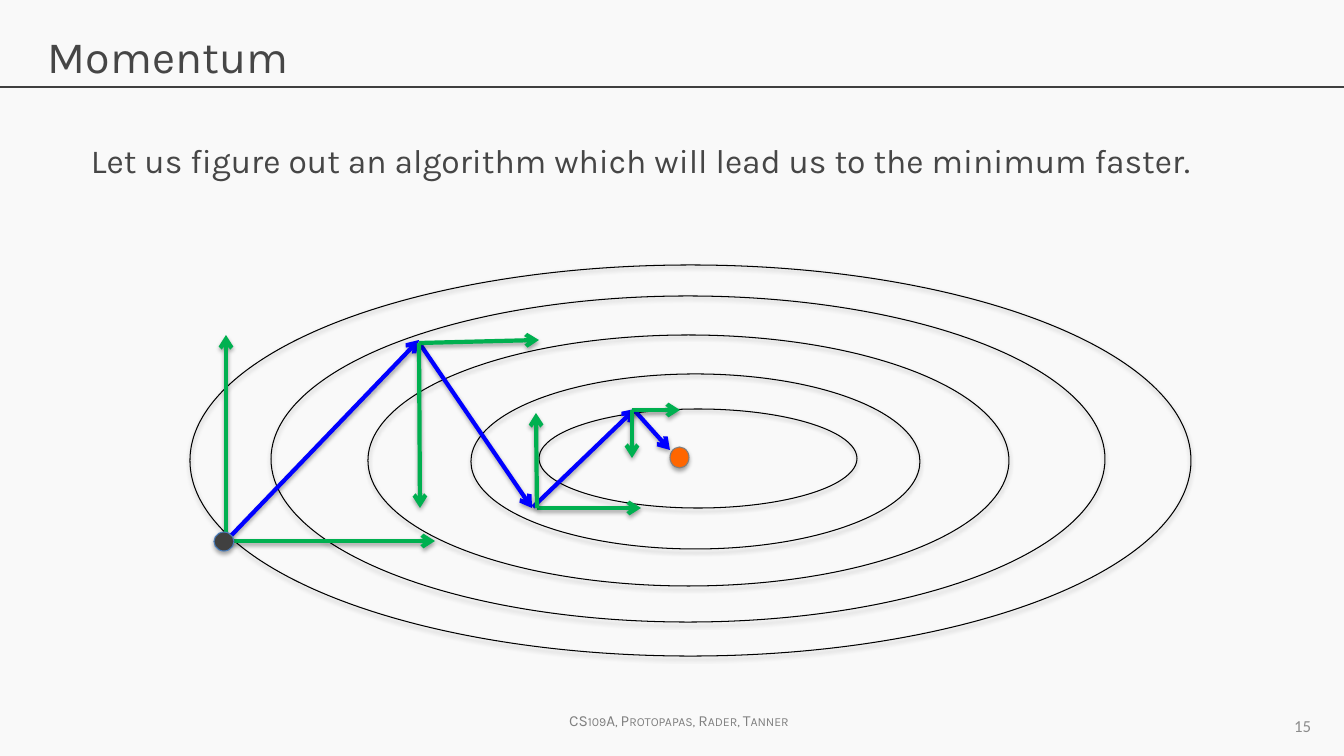
from lxml import etree
from pptx import Presentation
from pptx.dml.color import RGBColor
from pptx.enum.shapes import MSO_CONNECTOR, MSO_SHAPE
from pptx.enum.text import MSO_ANCHOR, PP_ALIGN
from pptx.oxml import parse_xml
from pptx.oxml.ns import qn
from pptx.util import Pt

PX = 914400 / 100.8
STRAIGHT = MSO_CONNECTOR.STRAIGHT
OVAL = MSO_SHAPE.OVAL
TOP, MIDDLE = MSO_ANCHOR.TOP, MSO_ANCHOR.MIDDLE
LEFT, CENTER, RIGHT = PP_ALIGN.LEFT, PP_ALIGN.CENTER, PP_ALIGN.RIGHT

SOFT_SHADOW = (
    '<a:effectLst xmlns:a="http://schemas.openxmlformats.org/drawingml/2006/main">'
    '<a:outerShdw blurRad="40000" dist="23000" dir="5400000" rotWithShape="0">'
    '<a:srgbClr val="000000"><a:alpha val="35000"/></a:srgbClr>'
    '</a:outerShdw></a:effectLst>'
)

HEADING = {"name": "Karla", "size": Pt(32), "color": "464646"}
BODY = {"name": "Karla", "size": Pt(24), "color": "464646"}
FOOTER = {"name": "Karla", "size": Pt(11), "color": "808080"}
PAGE_NUMBER = {"name": "Calibri", "size": Pt(12), "color": "8C8C8C"}

CONTOURS = [
    (539, 409, 318, 99),
    (471, 374, 449, 175),
    (368, 335, 641, 251),
    (271, 296, 834, 326),
    (190, 265, 1001, 391),
]
DESCENT_STEPS = [
    ((226, 541), (419, 340)),
    ((420, 344), (532, 508)),
    ((533, 507), (635, 409)),
    ((635, 411), (670, 450)),
]
GRADIENT_COMPONENTS = [
    ((226, 541), (435, 541), (226, 335)),
    ((419, 343), (539, 340), (420, 508)),
    ((537, 508), (641, 508), (536, 413)),
    ((632, 410), (680, 410), (632, 458)),
]


def px(*lengths):
    return [round(length * PX) for length in lengths]


def rgb(code):
    return RGBColor.from_string(code)


class MomentumSlide:
    """Draws styled elements on one slide, with lengths in px."""

    def __init__(self, presentation, background):
        self.slide = presentation.slides.add_slide(presentation.slide_layouts[6])
        fill = self.slide.background.fill
        fill.solid()
        fill.fore_color.rgb = rgb(background)

    def text(self, words, box, style, align=LEFT, anchor=TOP, wrap=True, small_caps=False):
        label = self.slide.shapes.add_textbox(*px(*box))
        frame = label.text_frame
        frame.word_wrap = wrap
        frame.vertical_anchor = anchor
        paragraph = frame.paragraphs[0]
        paragraph.alignment = align
        run = paragraph.add_run()
        run.text = words
        for attribute, value in style.items():
            if attribute == "color":
                run.font.color.rgb = rgb(value)
            else:
                setattr(run.font, attribute, value)
        if small_caps:
            run.font._element.set("cap", "small")

    def ellipse(self, box, outline, fill=None):
        oval = self.slide.shapes.add_shape(OVAL, *px(*box))
        if fill:
            oval.fill.solid()
            oval.fill.fore_color.rgb = rgb(fill)
        else:
            oval.fill.background()
        oval.line.color.rgb = rgb(outline)
        oval.line.width = Pt(0.75)
        oval._element.spPr.append(parse_xml(SOFT_SHADOW))

    def line(self, start, end, color, width):
        stroke = self.slide.shapes.add_connector(STRAIGHT, *px(*start, *end))
        stroke.line.color.rgb = rgb(color)
        stroke.line.width = Pt(width)
        effects = etree.SubElement(stroke._element.spPr, qn("a:effectLst"))
        return stroke, effects

    def arrow(self, start, end, color):
        stroke, effects = self.line(start, end, color, 3)
        etree.SubElement(stroke.line._ln, qn("a:tailEnd"), type="arrow")
        effects.extend(parse_xml(SOFT_SHADOW))


def main():
    presentation = Presentation()
    presentation.slide_width, presentation.slide_height = px(1344, 756)
    slide = MomentumSlide(presentation, "F9F9F9")

    slide.line((0, 87), (1344, 87), "404040", 0.75)
    slide.text("CS109A, Protopapas, Rader, Tanner", (553, 706, 252, 29), FOOTER,
               align=CENTER, wrap=False, small_caps=True)
    slide.text("Momentum", (38, 24, 1267, 85), HEADING)
    slide.text("Let us figure out an algorithm which will lead us to the minimum faster.",
               (81, 135, 1143, 65), BODY)
    slide.text("15", (1008, 706, 313, 40), PAGE_NUMBER, align=RIGHT, anchor=MIDDLE)

    for contour in CONTOURS:
        slide.ellipse(contour, "000000")
    slide.ellipse((670, 447, 19, 21), "7F7F7F", "FF6600")

    for start, end in DESCENT_STEPS:
        slide.arrow(start, end, "0000FF")
    for origin, *tips in GRADIENT_COMPONENTS:
        for tip in tips:
            slide.arrow(origin, tip, "00B050")
    slide.ellipse((214, 532, 20, 19), "4B7EBC", "404040")

    presentation.save("out.pptx")


if __name__ == "__main__":
    main()
